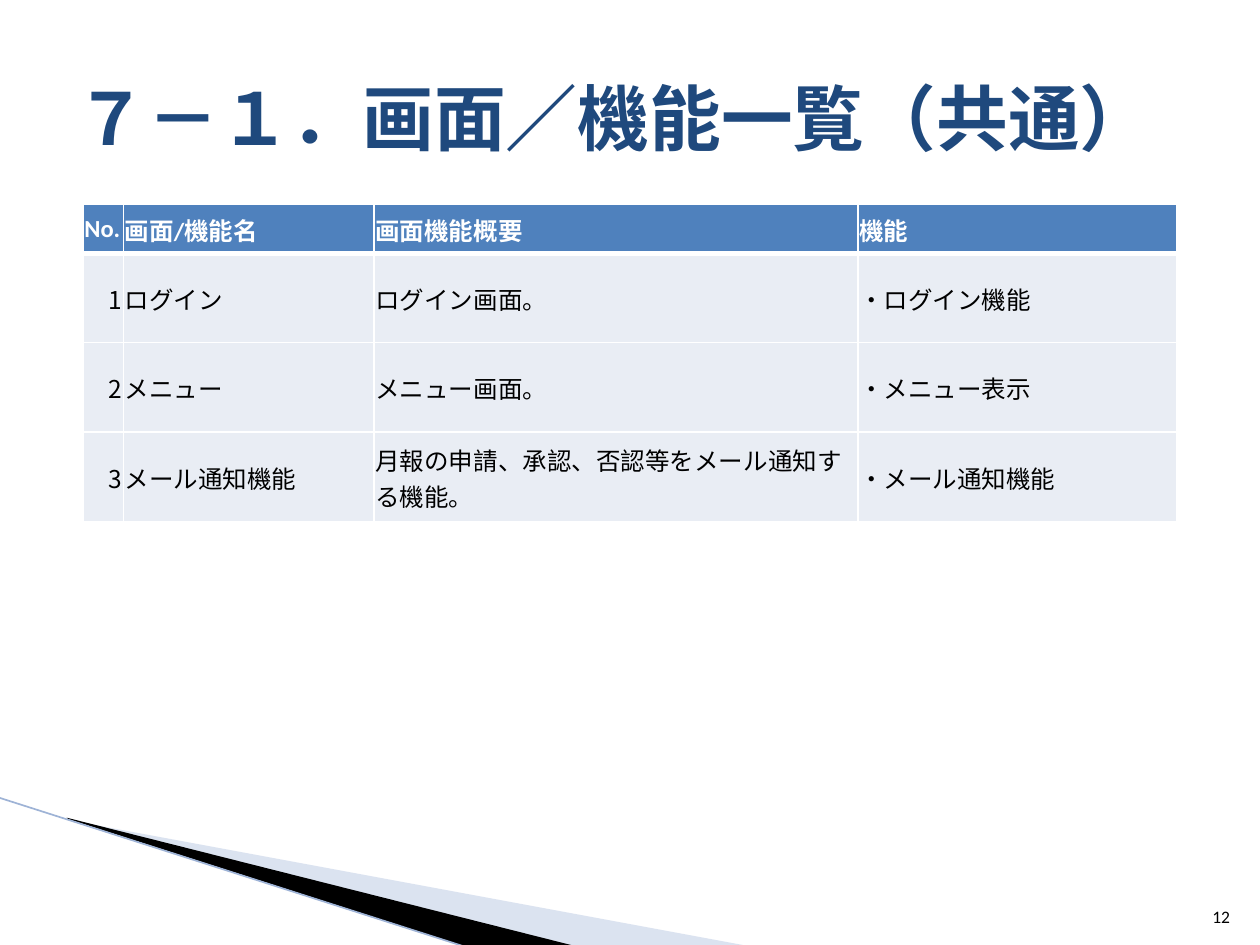
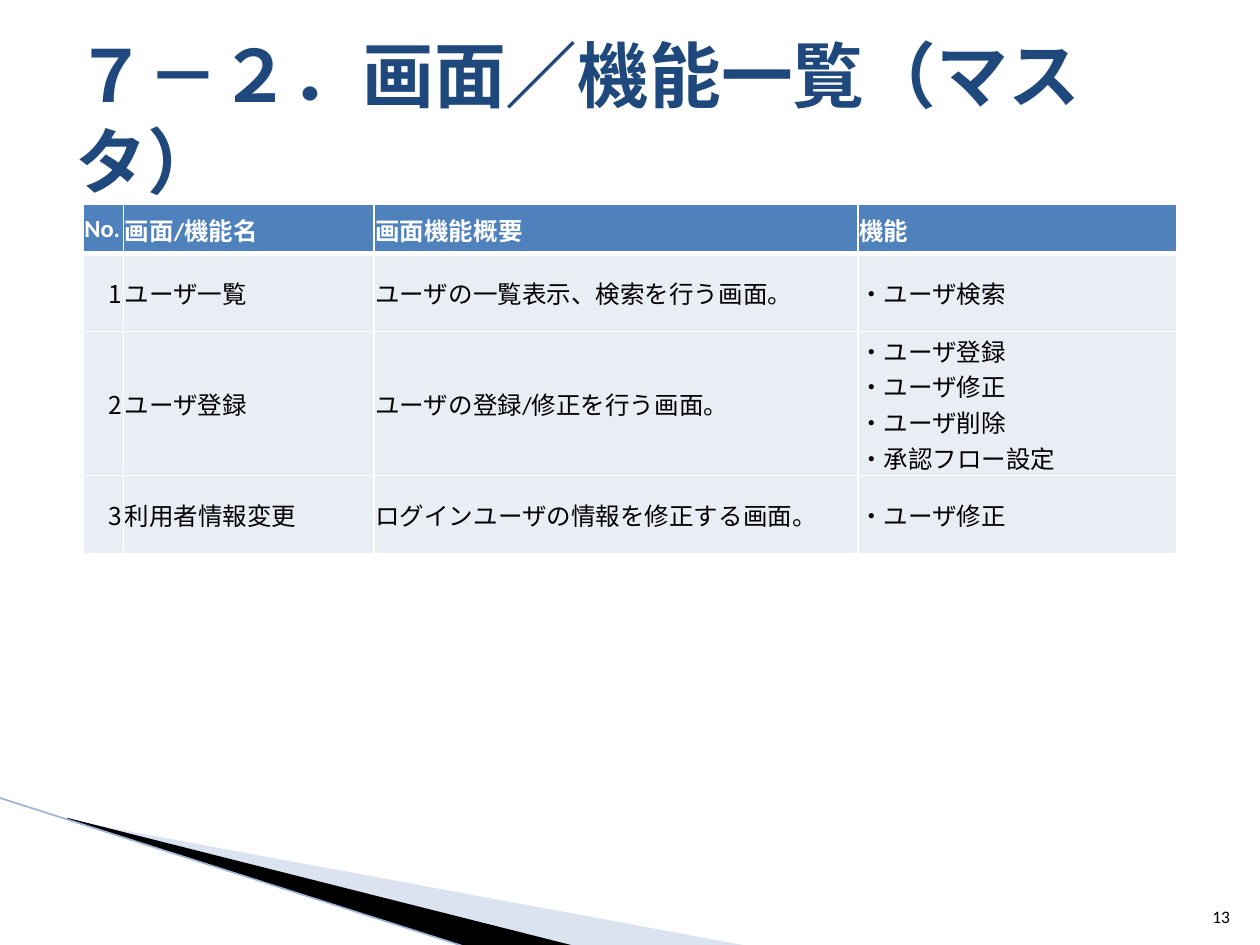
from lxml import etree
from pptx import Presentation
from pptx import util as u
from pptx.dml.color import RGBColor
from pptx.enum import shapes, text
from pptx.oxml import ns

NAVY = RGBColor(0x1F, 0x49, 0x7D)
BLUE = RGBColor(0x4F, 0x81, 0xBD)
PALE = RGBColor(0xE9, 0xED, 0xF4)
MIST = RGBColor(0xA7, 0xB9, 0xDB)
EDGE = RGBColor(0x9E, 0xB3, 0xD6)
BLACK = RGBColor(0, 0, 0)
WHITE = RGBColor(0xFF, 0xFF, 0xFF)

HEADING_FONT, BODY_FONT, ASIAN_FONT = "Cambria", "Calibri", "Noto Sans CJK JP"
TITLE_BOX = (0.5, 0.3, 9, 1.25)
TABLE_BOX = (0.66, 1.62, 8.67)
NUMBER_BOX = (9.46, 7.01, 0.4, 0.4)
WEDGE_BOX = (0, 6.33)
COLUMNS = (0.32, 1.99, 3.84, 2.53)
HEADER_HEIGHT = 0.39
HEADERS = ("No.", "画面/機能名", "画面機能概要", "機能")

PAGES = (
    ("７－１．画面／機能一覧（共通）", 12, 0.71, (
        ("ログイン", "ログイン画面。", "・ログイン機能"),
        ("メニュー", "メニュー画面。", "・メニュー表示"),
        ("メール通知機能", "月報の申請、承認、否認等をメール通知する機能。",
         "・メール通知機能"),
    )),
    ("７－２．画面／機能一覧（マスタ）", 13, 0.62, (
        ("ユーザ一覧", "ユーザの一覧表示、検索を行う画面。", "・ユーザ検索"),
        ("ユーザ登録", "ユーザの登録/修正を行う画面。",
         "・ユーザ登録\n・ユーザ修正\n・ユーザ削除\n・承認フロー設定"),
        ("利用者情報変更", "ログインユーザの情報を修正する画面。", "・ユーザ修正"),
    )),
)


def write(frame, content, size, color, font=BODY_FONT, bold=False,
          align=text.PP_ALIGN.LEFT):
    """Fill a text frame and format every run in it."""
    frame.text = content
    for para in frame.paragraphs:
        para.alignment = align
        for span in para.runs:
            span.font.size = u.Pt(size)
            span.font.bold = bold
            span.font.color.rgb = color
            span.font.name = font
            asian = etree.SubElement(span.font._element, ns.qn("a:ea"))
            asian.set("typeface", ASIAN_FONT)


def add_title(page, box, content):
    """Place and style the title placeholder."""
    title = page.shapes.title
    title.left, title.top, title.width, title.height = map(u.Inches, box)
    frame = title.text_frame
    write(frame, content, 41, NAVY, HEADING_FONT, True)
    frame.vertical_anchor = text.MSO_ANCHOR.MIDDLE
    frame.auto_size = text.MSO_AUTO_SIZE.NONE


def add_wedge(page, box, points, color, opacity=100):
    """Draw one filled wedge with points relative to the box."""
    left, top = box
    corners = [(u.Inches(left + x), u.Inches(top + y)) for x, y in points]
    builder = page.shapes.build_freeform(*corners[0])
    builder.add_line_segments(corners[1:])
    wedge = builder.convert_to_shape()
    wedge.shadow.inherit = False
    wedge.line.fill.background()
    wedge.fill.solid()
    wedge.fill.fore_color.rgb = color
    if opacity < 100:
        shade = wedge._element.spPr.find(".//" + ns.qn("a:srgbClr"))
        etree.SubElement(shade, ns.qn("a:alpha")).set("val", str(opacity * 1000))


def add_corner(page, box):
    """Draw the two wedges and the edge line at the lower left."""
    left, top = box
    add_wedge(page, box, ((0.55, 0.18), (5.95, 1.18), (4.56, 1.18), (0.55, 0.17)),
              MIST, 40)
    add_wedge(page, box, ((0.53, 0.16), (4.57, 1.18), (3.72, 1.19), (0.54, 0.17)),
              BLACK)
    edge = page.shapes.add_connector(
        shapes.MSO_CONNECTOR.STRAIGHT, u.Inches(left - 0.01), u.Inches(top),
        u.Inches(left + 3.71), u.Inches(top + 1.19))
    edge.line.color.rgb = EDGE
    edge.line.width = u.Pt(0.95)
    etree.SubElement(edge._element.spPr, ns.qn("a:effectLst"))


def set_borders(cell, bottom, top):
    """Give a cell white borders with the given bottom and top widths."""
    properties = cell._tc.get_or_add_tcPr()
    for side, width in (("L", 1), ("R", 1), ("T", top), ("B", bottom)):
        line = etree.SubElement(properties, ns.qn("a:ln" + side))
        line.set("w", str(u.Pt(width)))
        fill = etree.SubElement(line, ns.qn("a:solidFill"))
        etree.SubElement(fill, ns.qn("a:srgbClr")).set("val", str(WHITE))


def format_cell(cell, content, row, column):
    """Write and style one header or body cell."""
    header = row == 0
    number = column == 0 and not header
    write(cell.text_frame, content, 14, WHITE if header else BLACK,
          ASIAN_FONT if number else BODY_FONT, header,
          text.PP_ALIGN.RIGHT if number else text.PP_ALIGN.LEFT)
    cell.vertical_anchor = text.MSO_ANCHOR.MIDDLE
    cell.margin_left = cell.margin_right = cell.margin_top = u.Inches(0.01)
    cell.margin_bottom = 0
    set_borders(cell, 3 if header else 1, 3 if row == 1 else 1)
    cell.fill.solid()
    cell.fill.fore_color.rgb = BLUE if header else PALE


def add_function_table(page, box, row_height, functions):
    """Build the numbered table of screens and functions."""
    rows = [HEADERS] + [(str(number), *entry)
                        for number, entry in enumerate(functions, 1)]
    left, top, width = map(u.Inches, box)
    height = u.Inches(HEADER_HEIGHT + row_height * len(functions))
    table = page.shapes.add_table(
        len(rows), len(COLUMNS), left, top, width, height).table
    for column, column_width in zip(table.columns, COLUMNS):
        column.width = u.Inches(column_width)
    for row, entry in enumerate(rows):
        table.rows[row].height = u.Inches(row_height if row else HEADER_HEIGHT)
        for column, content in enumerate(entry):
            format_cell(table.cell(row, column), content, row, column)


def add_page_number(page, box, number):
    """Write the page number at the lower right."""
    frame = page.shapes.add_textbox(*map(u.Inches, box)).text_frame
    frame.word_wrap = True
    frame.vertical_anchor = text.MSO_ANCHOR.BOTTOM
    write(frame, str(number), 10, BLACK, align=text.PP_ALIGN.RIGHT)


def add_list_page(deck, title, number, row_height, functions):
    """Add one slide listing screens and functions."""
    page = deck.slides.add_slide(deck.slide_layouts[5])
    add_corner(page, WEDGE_BOX)
    add_function_table(page, TABLE_BOX, row_height, functions)
    add_title(page, TITLE_BOX, title)
    add_page_number(page, NUMBER_BOX, number)


def main():
    """Build and save the deck."""
    deck = Presentation()
    deck.slide_width, deck.slide_height = u.Inches(10), u.Inches(7.5)
    for entry in PAGES:
        add_list_page(deck, *entry)
    deck.save("out.pptx")


if __name__ == "__main__":
    main()
